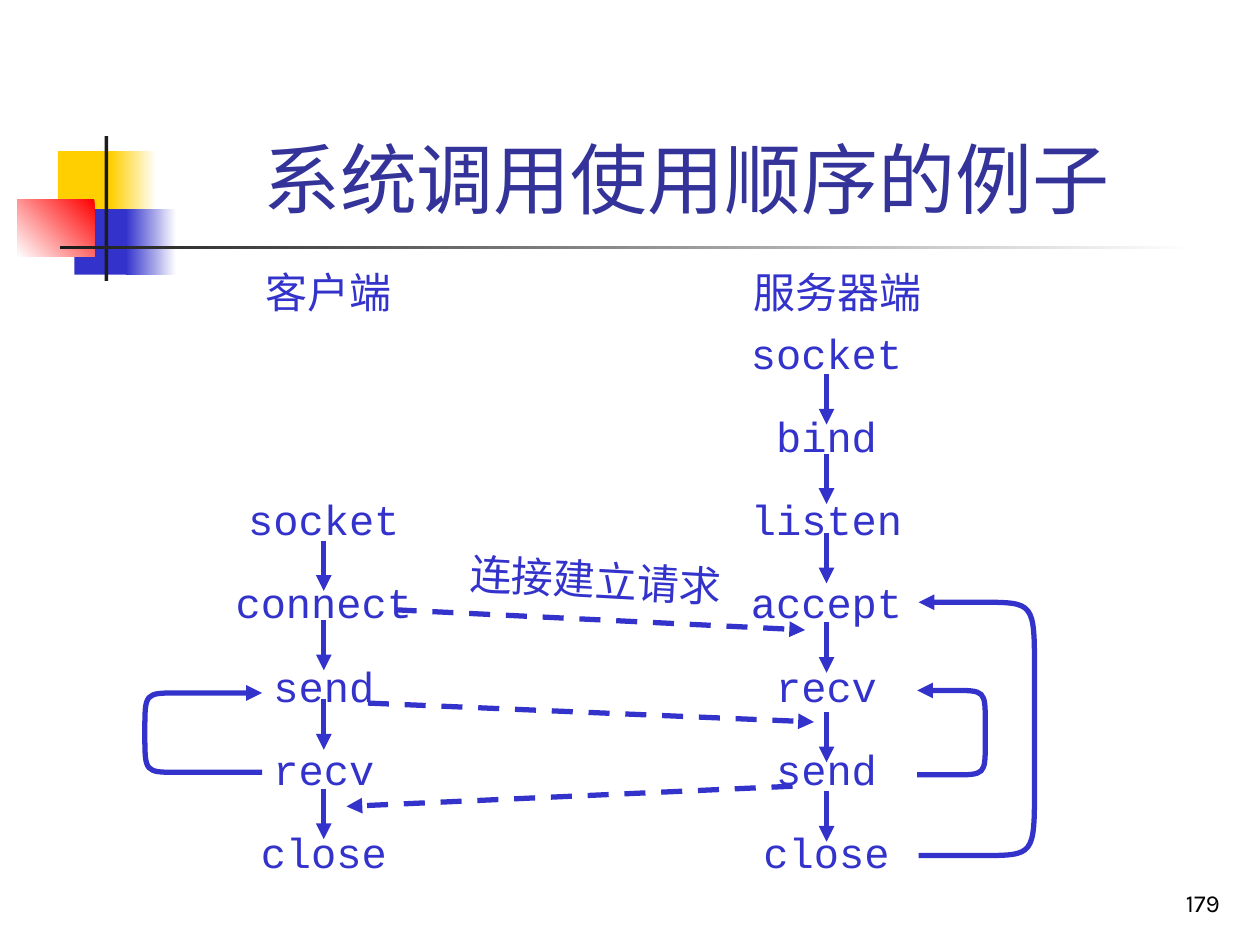
from lxml.etree import SubElement
from pptx import Presentation
from pptx.dml.color import RGBColor
from pptx.enum.dml import MSO_LINE as Dash
from pptx.enum.shapes import MSO_CONNECTOR as Conn, MSO_SHAPE as Shape
from pptx.enum.text import MSO_ANCHOR as Anchor, PP_ALIGN as Align
from pptx.oxml.ns import qn
from pptx.util import Inches, Pt

THEME = {
    "ink": "3333CC", "title": "333399", "black": "000000", "dark": "1C1C1C",
    "gold": "FFCF01", "red": "FF0000", "white": "FFFFFF",
    "sans": "Arial", "mono": "Courier New", "page": "Karla",
    "big": 44, "body": 24, "small": 14, "line": 3,
}

# box, colours (two make a gradient), gradient angle
DECOR = [
    ((0.46, 1.2, 0.48, 0.52), ["gold"], 0),
    ((0.88, 1.2, 0.36, 0.52), ["white", "gold"], 180),
    ((0.59, 1.66, 0.46, 0.52), ["ink"], 0),
    ((1, 1.66, 0.4, 0.52), ["white", "ink"], 180),
    ((0.14, 1.58, 0.61, 0.46), ["red", "white"], 225),
    ((0.83, 1.08, 0.03, 1.15), ["dark"], 0),
    ((0.48, 1.95, 9, 0.03), ["white", "dark"], 180),
]
TITLE = "系统调用使用顺序的例子 "
HEADS = [("客户端", (2.01, 2.07, 1.2, 0.5)), ("服务器端", (5.88, 2.07, 1.53, 0.5))]
REQUEST = "连接建立请求"
PAGE = "179"

# centre, first row top, calls, tops of the arrows between them
FLOWS = [
    (2.57, 3.87, ["socket", "connect", "send", "recv", "close"],
     [4.29, 4.92, 5.55, 6.26]),
    (6.56, 2.55, ["socket", "bind", "listen", "accept", "recv", "send", "close"],
     [2.97, 3.6, 4.23, 4.94, 5.65, 6.28]),
]
ROW, STEP, CHAR, PAD = 0.66, 0.4, 0.2, 0.1

MESSAGES = [
    ((3.14, 4.84), (6.39, 5)),
    ((2.92, 5.58), (6.46, 5.73)),
    ((6.29, 6.24), (2.75, 6.4)),
]
# open end x, far side x, start y, end y, corner width, corner height
LOOPS = [
    (2.08, 1.15, 6.13, 5.5, 0.26, 0.3),
    (7.28, 7.82, 6.15, 5.48, 0.26, 0.26),
    (7.29, 8.21, 6.79, 4.78, 0.42, 0.55),
]


def color(name):
    return RGBColor.from_string(THEME[name])


def block(slide, box, names, angle):
    shape = slide.shapes.add_shape(Shape.RECTANGLE, *map(Inches, box))
    shape.shadow.inherit = False
    shape.line.fill.background()
    fill = shape.fill
    if len(names) == 1:
        fill.solid()
        fill.fore_color.rgb = color(names[0])
        return
    fill.gradient()
    fill.gradient_angle = angle
    for stop, name in zip(fill.gradient_stops, names):
        stop.color.rgb = color(name)


def label(slide, text, box, font="sans", size="body", ink="ink",
          align=Align.LEFT, anchor=Anchor.TOP, wrap=False):
    shape = slide.shapes.add_textbox(*map(Inches, box))
    frame = shape.text_frame
    frame.text = text
    frame.word_wrap = wrap
    frame.vertical_anchor = anchor
    para = frame.paragraphs[0]
    para.alignment = align
    face = para.runs[0].font
    face.name = THEME[font]
    face.size = Pt(THEME[size])
    face.color.rgb = color(ink)
    return shape


def stroke(shape):
    """Give a line or open path the theme stroke and an arrowhead at its end."""
    shape.line.color.rgb = color("ink")
    shape.line.width = Pt(THEME["line"])
    SubElement(shape.line._get_or_add_ln(), qn("a:tailEnd"), type="triangle")


def arrow(slide, start, end, dashed=False):
    line = slide.shapes.add_connector(Conn.STRAIGHT, *map(Inches, start + end))
    if dashed:
        line.line.dash_style = Dash.DASH
    stroke(line)
    SubElement(line._element.spPr, qn("a:effectLst"))


def loop(slide, x, side, low, high, wide, tall):
    """Draw a three-sided return arrow with two rounded corners."""
    near = side - wide if side > x else side + wide
    a, b = (near, low), (side, low - tall)
    c, d = (side, high + tall), (near, high)
    foot, top, end = (side, low), (side, high), (x, high)
    points = [a, a, a, foot, foot, b, c, c, c, top, top, d, end, end, end]
    path = slide.shapes.build_freeform(Inches(x), Inches(low))
    path.add_line_segments([(Inches(h), Inches(v)) for h, v in points], close=False)
    shape = path.convert_to_shape()
    shape.shadow.inherit = False
    shape.fill.background()
    stroke(shape)
    # Every three points become one cubic curve
    root = next(shape._element.iter(qn("a:path")))
    parts = root.findall(qn("a:lnTo"))
    for i in range(0, len(parts), 3):
        curve = SubElement(root, qn("a:cubicBezTo"))
        for part in parts[i:i + 3]:
            curve.append(part[0])
            root.remove(part)


def flow(slide, mid, top, calls, tops):
    for i, call in enumerate(calls):
        width = CHAR * len(call) + 2 * PAD
        box = (mid - width / 2, top + ROW * i, width, 0.5)
        label(slide, call, box, "mono", align=Align.CENTER)
    for y in tops:
        arrow(slide, (mid, y), (mid, y + STEP))


def main():
    deck = Presentation()
    deck.slide_width, deck.slide_height = Inches(10), Inches(7.5)
    slide = deck.slides.add_slide(deck.slide_layouts[6])
    for item in DECOR:
        block(slide, *item)
    label(slide, TITLE, (1.26, 0.23, 8.52, 1.6), size="big", ink="title",
          align=Align.CENTER, anchor=Anchor.BOTTOM, wrap=True)
    for text, box in HEADS:
        label(slide, text, box)
    for item in FLOWS:
        flow(slide, *item)
    for item in LOOPS:
        loop(slide, *item)
    for start, end in MESSAGES:
        arrow(slide, start, end, dashed=True)
    label(slide, REQUEST, (3.63, 4.35, 2.2, 0.5)).rotation = 3.1
    label(slide, PAGE, (7.7, 6.83, 2.08, 0.5), "page", "small", "black",
          Align.RIGHT, Anchor.BOTTOM, True)
    deck.save("out.pptx")


if __name__ == "__main__":
    main()
